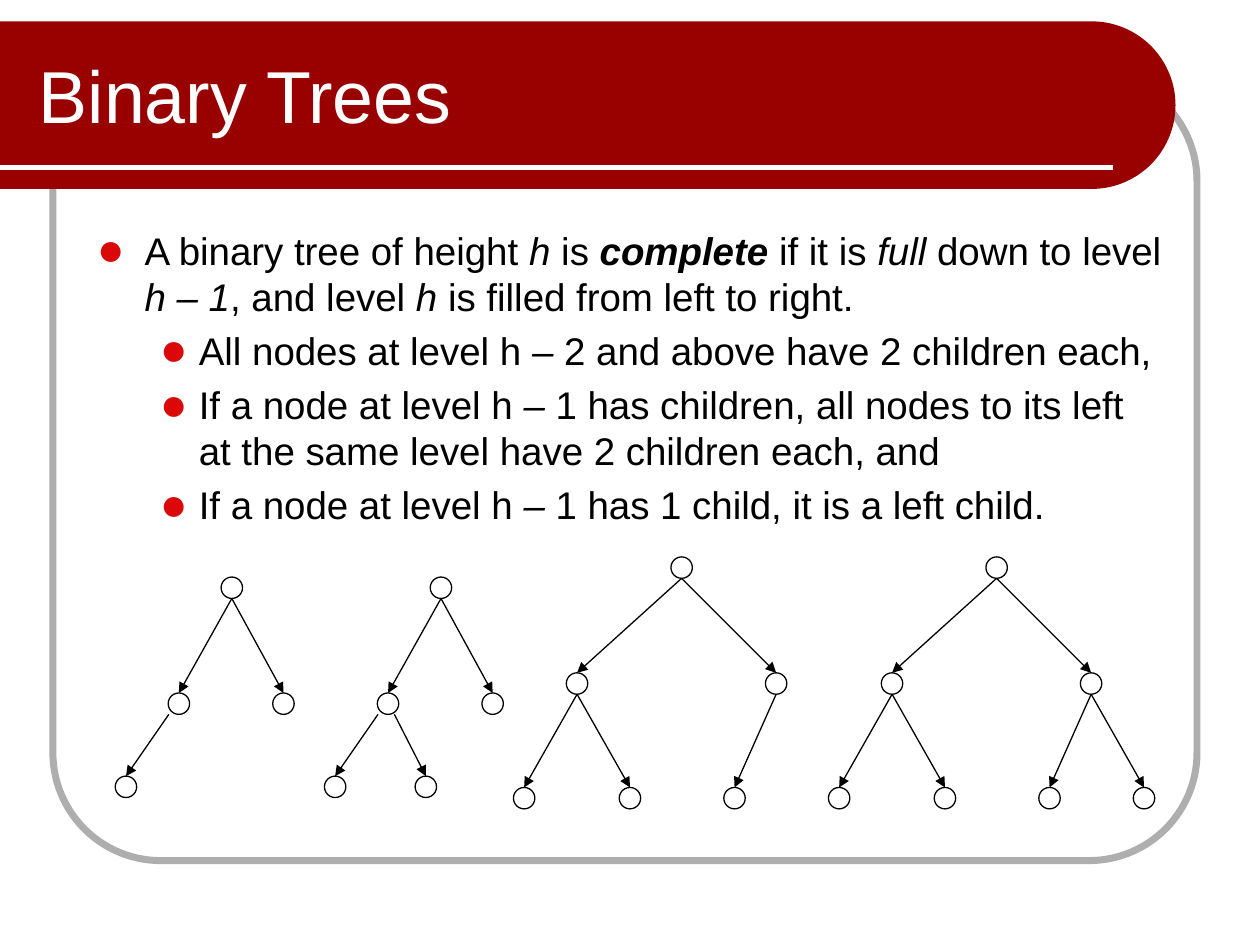
from math import cos, pi, sin

from lxml import etree
from pptx import Presentation
from pptx.dml.color import RGBColor
from pptx.enum.shapes import MSO_CONNECTOR, MSO_SHAPE
from pptx.enum.text import MSO_ANCHOR
from pptx.oxml.ns import qn
from pptx.util import Inches, Pt

STRAIGHT = MSO_CONNECTOR.STRAIGHT
ROUNDED = MSO_SHAPE.ROUNDED_RECTANGLE
CIRCLE = MSO_SHAPE.FLOWCHART_CONNECTOR
MIDDLE = MSO_ANCHOR.MIDDLE

FONT = "Arial"
RED, BULLET_RED, GREY = "990000", "DA0808", "AEAEAE"
BLACK, WHITE = "000000", "FFFFFF"
NODE = 0.17

# Nodes: centre x, top y. Edges: parent, child, shift of the start point.
LARGE_NODES = [(1.33, 0), (0.5, 0.92), (2.08, 0.92),
               (0.08, 1.83), (0.92, 1.83), (1.75, 1.83), (2.5, 1.83)]
LARGE_EDGES = [(0, 1, 0), (0, 2, 0), (1, 3, 0), (1, 4, 0), (2, 5, 0), (2, 6, 0)]
SMALL_NODES = [(0.92, 0), (0.5, 0.92), (1.33, 0.92), (0.08, 1.58), (0.8, 1.58)]
SMALL_EDGES = [(0, 1, 0), (0, 2, 0), (1, 3, -0.08), (1, 4, 0.05)]

# Paragraphs: level, then runs as (text, style), i = italic, b = bold
POINTS = [
    (0, [("A binary tree of height ", ""), ("h", "i"), (" is ", ""),
         ("complete", "bi"), (" if it is ", ""), ("full", "i"),
         (" down to level ", ""), ("h – 1", "i"), (", and level ", ""),
         ("h", "i"), (" is filled from left to right.", "")]),
    (1, [("All nodes at level h ", ""), ("–", "i"),
         (" 2 and above have 2 children each,", "")]),
    (1, [("If a node at level h ", ""), ("–", "i"),
         (" 1 has children, all nodes to its left at the same level "
          "have 2 children each, and", "")]),
    (1, [("If a node at level h ", ""), ("–", "i"),
         (" 1 has 1 child, it is a left child.", "")]),
]
INDENTS = [(0.38, -0.38), (0.81, -0.31)]


def rgb(colour):
    return RGBColor.from_string(colour)


def paint(shape, fill=None, line=None, width=0.75):
    shape.shadow.inherit = False
    if fill:
        shape.fill.solid()
        shape.fill.fore_color.rgb = rgb(fill)
    else:
        shape.fill.background()
    if line:
        shape.line.color.rgb = rgb(line)
        shape.line.width = Pt(width)
    else:
        shape.line.fill.background()


def add_line(shapes, start, end, colour, width, arrow=False):
    line = shapes.add_connector(STRAIGHT, *map(Inches, (*start, *end)))
    line.line.color.rgb = rgb(colour)
    line.line.width = Pt(width)
    if arrow:
        etree.SubElement(line.line._get_or_add_ln(), qn("a:tailEnd"), type="triangle")
    etree.SubElement(line._element.spPr, qn("a:effectLst"))


def style_run(run, size, colour, style=""):
    run.font.name = FONT
    run.font.size = Pt(size)
    run.font.color.rgb = rgb(colour)
    run.font.bold = "b" in style
    run.font.italic = "i" in style


def add_bullet(paragraph, level):
    margin, indent = INDENTS[level]
    props = paragraph._p.get_or_add_pPr()
    props.set("marL", str(Inches(margin)))
    props.set("indent", str(Inches(indent)))
    colour = etree.SubElement(props, qn("a:buClr"))
    etree.SubElement(colour, qn("a:srgbClr"), val=BULLET_RED)
    etree.SubElement(props, qn("a:buSzPct"), val="120000")
    etree.SubElement(props, qn("a:buFont"), typeface=FONT)
    etree.SubElement(props, qn("a:buChar"), char="●")


def add_frame(shapes, left, top, width, height):
    frame = shapes.add_shape(ROUNDED, *map(Inches, (left, top, width, height)))
    frame.adjustments[0] = 0.137
    paint(frame, line=GREY, width=4)


def add_banner(shapes, left, top, width, height, title):
    # Red band with a half-round right end
    radius = height / 2
    centre_x, centre_y = left + width - radius, top + radius
    steps = 60
    angles = [pi * (step / steps - 0.5) for step in range(steps + 1)]
    outline = [(Inches(centre_x + radius * cos(a)), Inches(centre_y + radius * sin(a)))
               for a in angles]
    builder = shapes.build_freeform(Inches(left), Inches(top))
    builder.add_line_segments(outline + [(Inches(left), Inches(top + height))])
    paint(builder.convert_to_shape(), RED)

    # White rule and title
    rule_y = top + height - 0.17
    add_line(shapes, (left, rule_y), (left + width - 0.5, rule_y), WHITE, 3)
    heading = shapes.add_textbox(*map(Inches, (left + 0.21, top + 0.08, 7.79, 1)))
    frame = heading.text_frame
    frame.word_wrap = True
    frame.vertical_anchor = MIDDLE
    frame.text = title
    style_run(frame.paragraphs[0].runs[0], 42, WHITE)


def add_points(shapes, left, top, width, height):
    body = shapes.add_textbox(*map(Inches, (left, top, width, height)))
    frame = body.text_frame
    frame.word_wrap = True
    for index, (level, runs) in enumerate(POINTS):
        paragraph = frame.add_paragraph() if index else frame.paragraphs[0]
        paragraph.level = level
        paragraph.space_before = Pt(4.5)
        add_bullet(paragraph, level)
        for text, style in runs:
            run = paragraph.add_run()
            run.text = text
            style_run(run, 22, BLACK, style)


def add_tree(shapes, left, top, nodes, edges):
    tree = shapes.add_group_shape().shapes
    places = [(left + x, top + y) for x, y in nodes]
    for x, y in places:
        node = tree.add_shape(CIRCLE, *map(Inches, (x - NODE / 2, y, NODE, NODE)))
        paint(node, WHITE, BLACK)
    for parent, child, shift in edges:
        x, y = places[parent]
        add_line(tree, (x + shift, y + NODE), places[child], BLACK, 0.75, arrow=True)


def build_slide(deck):
    shapes = deck.slides.add_slide(deck.slide_layouts[6]).shapes
    add_frame(shapes, 0.42, 0.58, 9.08, 6.25)
    add_banner(shapes, 0, 0.17, 9.33, 1.33, "Binary Trees")
    add_points(shapes, 0.67, 1.75, 8.67, 4.83)

    # Four complete trees, some lacking their last leaf
    add_tree(shapes, 0.92, 4.58, SMALL_NODES[:-1], SMALL_EDGES[:-1])
    add_tree(shapes, 2.58, 4.58, SMALL_NODES, SMALL_EDGES)
    add_tree(shapes, 4.08, 4.42, LARGE_NODES[:-1], LARGE_EDGES[:-1])
    add_tree(shapes, 6.58, 4.42, LARGE_NODES, LARGE_EDGES)


deck = Presentation()
deck.slide_width, deck.slide_height = Inches(10), Inches(7.5)
build_slide(deck)
deck.save("out.pptx")
